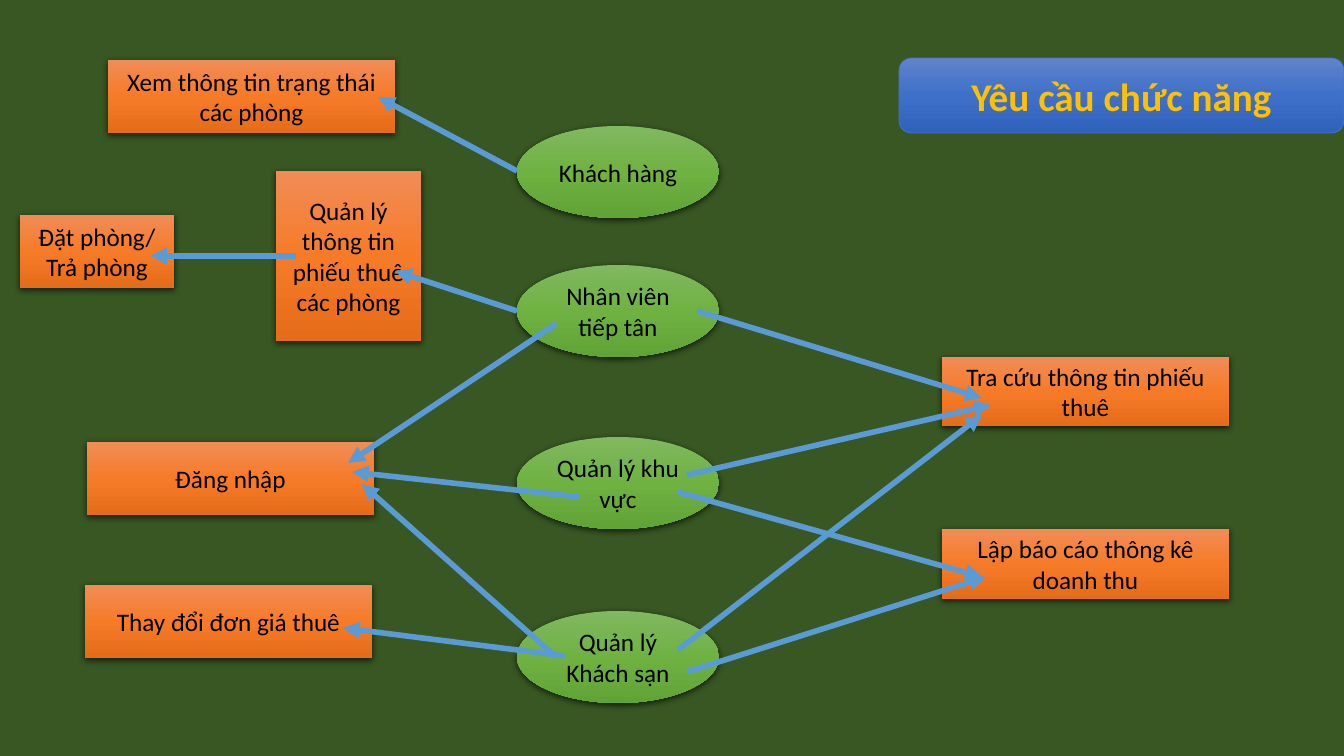
from copy import deepcopy

from pptx import Presentation
from pptx.dml.color import RGBColor
from pptx.enum.shapes import MSO_CONNECTOR as CONNECTOR, MSO_SHAPE as SHAPE
from pptx.enum.text import MSO_ANCHOR as ANCHOR, PP_ALIGN as ALIGN
from pptx.oxml import parse_xml
from pptx.oxml.ns import nsdecls, qn
from pptx.util import Pt

PX = 914400 / 100.8
WIDTH, HEIGHT = 1344, 756
FONT = "Calibri"
BACKGROUND, TEXT, TITLE_TEXT = "385723", "000000", "FFC000"
TITLE_LINE, ARROW = "4472C4", "5B9BD5"
BLUE = ("6183CB", "3E70CA", "3062BB")
GREEN = ("81B861", "6FB242", "62A336")
ORANGE = ("F18C57", "F67B28", "E56C19")

TITLE = ("Yêu cầu chức năng", (899, 58, 445, 75))

# Actors share one column: text, top
ACTOR_LEFT, ACTOR_WIDTH, ACTOR_HEIGHT = 517, 202, 92
ACTORS = [
    ("Khách hàng", 126),
    ("Nhân viên tiếp tân", 265),
    ("Quản lý khu vực", 437),
    ("Quản lý Khách sạn", 611),
]

# Functions: text, (left, top, width, height)
FUNCTIONS = [
    ("Xem thông tin trạng thái các phòng", (108, 60, 287, 73)),
    ("Quản lý thông tin phiếu thuê các phòng", (276, 171, 145, 170)),
    ("Đăng nhập", (87, 442, 287, 73)),
    ("Tra cứu thông tin phiếu thuê", (942, 357, 287, 69)),
    ("Thay đổi đơn giá thuê", (85, 585, 287, 73)),
    ("Lập báo cáo thông kê doanh thu", (942, 529, 287, 70)),
    ("Đặt phòng/ Trả phòng", (20, 215, 154, 73)),
]

# Arrows: start x, start y, end x, end y
ARROWS = [
    (517, 171, 378, 97),
    (517, 311, 395, 271),
    (697, 311, 982, 398),
    (687, 475, 991, 405),
    (678, 650, 982, 415),
    (678, 492, 982, 577),
    (687, 672, 986, 577),
    (556, 324, 348, 463),
    (579, 497, 352, 472),
    (556, 657, 362, 484),
    (565, 656, 343, 628),
    (296, 256, 150, 256),
]


def px(value):
    """Turn pixels into EMU."""
    return round(value * PX)


def color(hex_text):
    """Turn a hex string into a colour."""
    return RGBColor.from_string(hex_text)


def set_gradient(shape, colors):
    """Fill a shape from top to bottom with evenly spaced colours."""
    shape.fill.gradient()
    shape.fill.gradient_angle = 270
    stop_list = shape._element.spPr.find(qn("a:gradFill")).find(qn("a:gsLst"))
    while len(stop_list) < len(colors):
        stop_list.append(deepcopy(stop_list[-1]))
    for index, stop in enumerate(shape.fill.gradient_stops):
        stop.position = index / (len(colors) - 1)
        stop.color.rgb = color(colors[index])


def add_shadow(shape):
    """Put a soft shadow below a shape."""
    effects = shape._element.spPr.find(qn("a:effectLst"))
    effects.append(parse_xml(
        f'<a:outerShdw {nsdecls("a")} blurRad="{Pt(4.5)}" dist="{Pt(1.5)}" '
        'dir="5400000" algn="ctr" rotWithShape="0"><a:srgbClr val="000000">'
        '<a:alpha val="63000"/></a:srgbClr></a:outerShdw>'))


def add_node(slide, kind, text, box, colors, size=18, text_color=TEXT, bold=False):
    """Add a gradient shape with centred text and no line or shadow."""
    shape = slide.shapes.add_shape(kind, *map(px, box))
    shape.shadow.inherit = False
    set_gradient(shape, colors)
    shape.line.fill.background()
    frame = shape.text_frame
    frame.word_wrap = True
    frame.vertical_anchor = ANCHOR.MIDDLE
    paragraph = frame.paragraphs[0]
    paragraph.alignment = ALIGN.CENTER
    run = paragraph.add_run()
    run.text = text
    run.font.name, run.font.size, run.font.bold = FONT, Pt(size), bold
    run.font.color.rgb = color(text_color)
    return shape


def add_arrow(slide, points):
    """Add a straight line with a triangle at its end."""
    arrow = slide.shapes.add_connector(CONNECTOR.STRAIGHT, *map(px, points))
    arrow.line.color.rgb = color(ARROW)
    arrow.line.width = Pt(4)
    arrow.line._get_or_add_ln().append(
        parse_xml(f'<a:tailEnd {nsdecls("a")} type="triangle"/>'))
    arrow._element.spPr.append(parse_xml(f'<a:effectLst {nsdecls("a")}/>'))


presentation = Presentation()
presentation.slide_width, presentation.slide_height = px(WIDTH), px(HEIGHT)
slide = presentation.slides.add_slide(presentation.slide_layouts[6])
slide.background.fill.solid()
slide.background.fill.fore_color.rgb = color(BACKGROUND)

title = add_node(slide, SHAPE.ROUNDED_RECTANGLE, *TITLE, BLUE, 28, TITLE_TEXT, True)
title.line.color.rgb = color(TITLE_LINE)
title.line.width = Pt(0.5)

for text, top in ACTORS:
    box = (ACTOR_LEFT, top, ACTOR_WIDTH, ACTOR_HEIGHT)
    add_shadow(add_node(slide, SHAPE.OVAL, text, box, GREEN))
for text, box in FUNCTIONS:
    add_shadow(add_node(slide, SHAPE.RECTANGLE, text, box, ORANGE))
for points in ARROWS:
    add_arrow(slide, points)

presentation.save("out.pptx")
